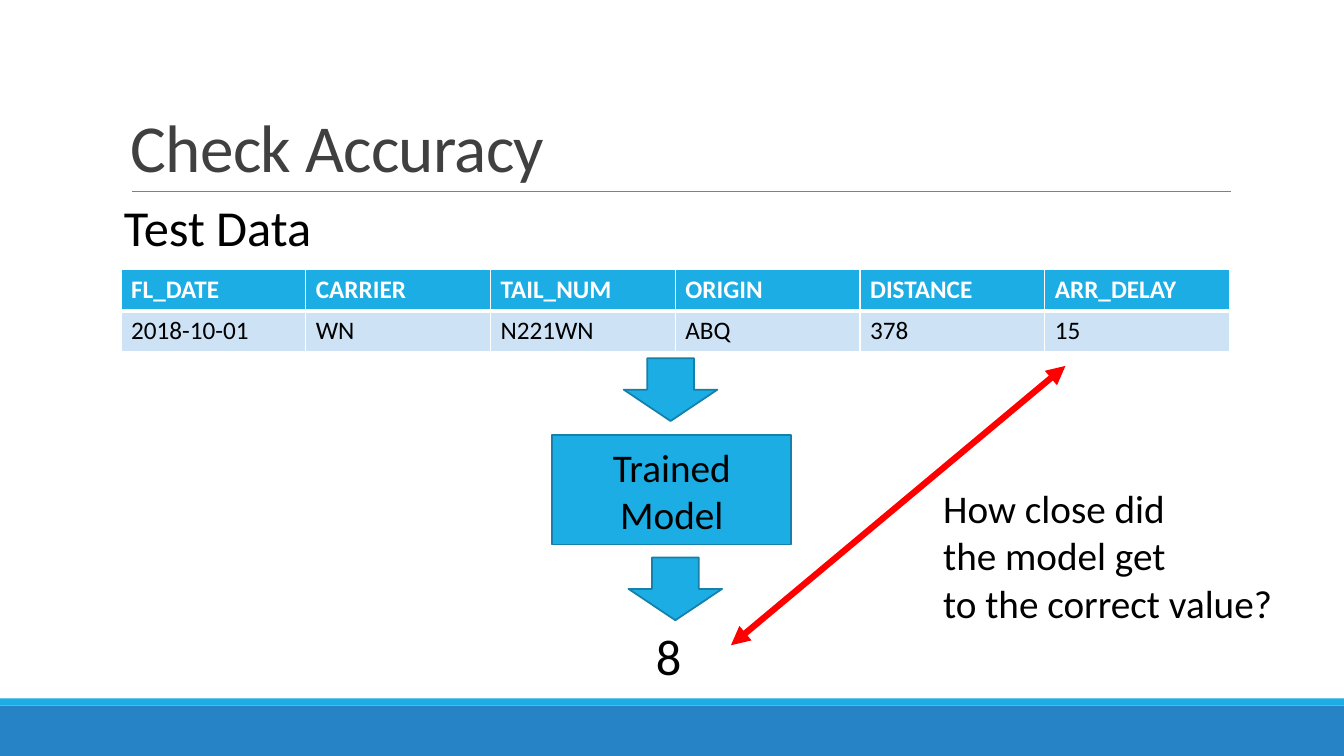
from dataclasses import dataclass
from typing import Any, Optional

from lxml import etree
from pptx import Presentation
from pptx import util as u
from pptx.dml.color import RGBColor
from pptx.enum import shapes, text
from pptx.oxml import ns


@dataclass(frozen=True)
class Theme:
    font: str = "Calibri"
    accent: str = "1CADE4"
    outline: str = "1580A9"
    footer: str = "2683C6"
    row: str = "CDE3F5"
    rule: str = "808080"
    title: str = "404040"
    ink: str = "000000"
    white: str = "FFFFFF"
    red: str = "FF0000"
    title_size: int = 48
    large: int = 36
    medium: int = 28
    small: int = 18


THEME = Theme()


@dataclass(frozen=True)
class Box:
    """Position and size in centimetres."""
    left: float
    top: float
    width: float
    height: float

    def lengths(self) -> tuple:
        return tuple(u.Cm(value) for value in (self.left, self.top, self.width, self.height))


@dataclass(frozen=True)
class Label:
    box: Box
    lines: tuple
    size: int
    color: str = THEME.ink
    anchor: Any = text.MSO_ANCHOR.TOP
    line_spacing: Optional[float] = None
    letter_spacing: Optional[int] = None


@dataclass(frozen=True)
class Block:
    kind: Any
    box: Box
    fill: str = THEME.accent
    outline: Optional[str] = THEME.outline
    caption: str = ""


@dataclass(frozen=True)
class Line:
    start: tuple
    end: tuple
    color: str
    weight: float
    arrows: bool = False


def set_formats(target: Any, formats: dict) -> None:
    for name, value in formats.items():
        setattr(target, name, value)


def write(paragraph: Any, words: str, size: int, color: str, bold: bool = False) -> Any:
    run = paragraph.add_run()
    run.text = words
    set_formats(run.font, {"name": THEME.font, "size": u.Pt(size), "bold": bold})
    run.font.color.rgb = RGBColor.from_string(color)
    return run


def paint(fill: Any, color: str) -> None:
    fill.solid()
    fill.fore_color.rgb = RGBColor.from_string(color)


def add_label(slide: Any, label: Label) -> None:
    frame = slide.shapes.add_textbox(*label.box.lengths()).text_frame
    set_formats(frame, {"word_wrap": True, "vertical_anchor": label.anchor})
    for index, words in enumerate(label.lines):
        paragraph = frame.add_paragraph() if index else frame.paragraphs[0]
        paragraph.line_spacing = label.line_spacing
        run = write(paragraph, words, label.size, label.color)
        if label.letter_spacing is not None:
            run.font._element.set("spc", str(label.letter_spacing))


def add_block(slide: Any, block: Block) -> None:
    shape = slide.shapes.add_shape(block.kind, *block.box.lengths())
    shape.shadow.inherit = False
    paint(shape.fill, block.fill)
    if block.outline:
        paint(shape.line.fill, block.outline)
        shape.line.width = u.Pt(1.25)
    else:
        shape.line.fill.background()
    if block.caption:
        frame = shape.text_frame
        set_formats(frame, {"word_wrap": True, "vertical_anchor": text.MSO_ANCHOR.MIDDLE})
        frame.paragraphs[0].alignment = text.PP_ALIGN.CENTER
        write(frame.paragraphs[0], block.caption, THEME.medium, THEME.ink)


def add_line(slide: Any, line: Line) -> None:
    points = [u.Cm(value) for value in line.start + line.end]
    connector = slide.shapes.add_connector(shapes.MSO_CONNECTOR.STRAIGHT, *points)
    paint(connector.line.fill, line.color)
    connector.line.width = u.Pt(line.weight)
    if line.arrows:
        for end in ("a:headEnd", "a:tailEnd"):
            etree.SubElement(connector.line._ln, ns.qn(end), type="triangle")
    etree.SubElement(connector._element.spPr, ns.qn("a:effectLst"))


def add_borders(cell: Any, weights: dict) -> None:
    properties = cell._tc.get_or_add_tcPr()
    for index, (side, weight) in enumerate(weights.items()):
        border = etree.Element(ns.qn(f"a:ln{side}"), w=str(u.Pt(weight)))
        fill = etree.SubElement(border, ns.qn("a:solidFill"))
        etree.SubElement(fill, ns.qn("a:srgbClr"), val=THEME.white)
        properties.insert(index, border)


def add_data_table(slide: Any, box: Box, rows: tuple) -> None:
    table = slide.shapes.add_table(len(rows), len(rows[0]), *box.lengths()).table
    for row_index, values in enumerate(rows):
        header = row_index == 0
        for column_index, value in enumerate(values):
            cell = table.cell(row_index, column_index)
            paint(cell.fill, THEME.accent if header else THEME.row)
            color = THEME.white if header else THEME.ink
            write(cell.text_frame.paragraphs[0], value, THEME.small, color, header)
            top, bottom = (1, 3) if header else (3, 1)
            add_borders(cell, {"L": 1, "R": 1, "T": top, "B": bottom})


SLIDE_WIDTH, SLIDE_HEIGHT = 33.87, 19.05
RECTANGLE, ARROW = shapes.MSO_SHAPE.RECTANGLE, shapes.MSO_SHAPE.DOWN_ARROW

FOOTER = (
    Block(RECTANGLE, Box(0, 17.78, SLIDE_WIDTH, 1.27), THEME.footer, None),
    Block(RECTANGLE, Box(0, 17.6, SLIDE_WIDTH, 0.18), outline=None),
)
FLOW = (
    Block(RECTANGLE, Box(13.92, 10.97, 6.02, 2.75), caption="Trained Model"),
    Block(ARROW, Box(15.72, 9.03, 2.36, 1.58)),
    Block(ARROW, Box(15.84, 14.05, 2.36, 1.58)),
)
LABELS = (
    Label(Box(3.05, 0.79, 27.94, 4.04), ("Check Accuracy",), THEME.title_size,
          THEME.title, text.MSO_ANCHOR.BOTTOM, 0.85, -50),
    Label(Box(2.87, 4.83, 5.28, 1.8), ("Test Data",), THEME.large),
    Label(Box(16.28, 15.62, 1.45, 1.8), ("8",), THEME.large),
    Label(Box(23.52, 12.09, 8.9, 3.84),
          ("How close did", "the model get", "to the correct value?"), THEME.medium),
)
LINES = (
    Line((3.33, 4.83), (31.01, 4.83), THEME.rule, 0.5),
    Line((26.85, 9.22), (18.42, 16.26), THEME.red, 4.5, True),
)
FLIGHTS = (
    ("FL_DATE", "CARRIER", "TAIL_NUM", "ORIGIN", "DISTANCE", "ARR_DELAY"),
    ("2018-10-01", "WN", "N221WN", "ABQ", "378", "15"),
)


def main() -> None:
    presentation = Presentation()
    set_formats(presentation, {"slide_width": u.Cm(SLIDE_WIDTH),
                               "slide_height": u.Cm(SLIDE_HEIGHT)})
    slide = presentation.slides.add_slide(presentation.slide_layouts[6])

    # Footer bands, then the flow from test data to prediction
    for block in FOOTER + FLOW:
        add_block(slide, block)
    add_data_table(slide, Box(3.05, 6.8, 27.94, 2.06), FLIGHTS)

    # Title rule and comparison arrow
    for line in LINES:
        add_line(slide, line)

    # Title and remarks
    for label in LABELS:
        add_label(slide, label)

    presentation.save("out.pptx")


main()
